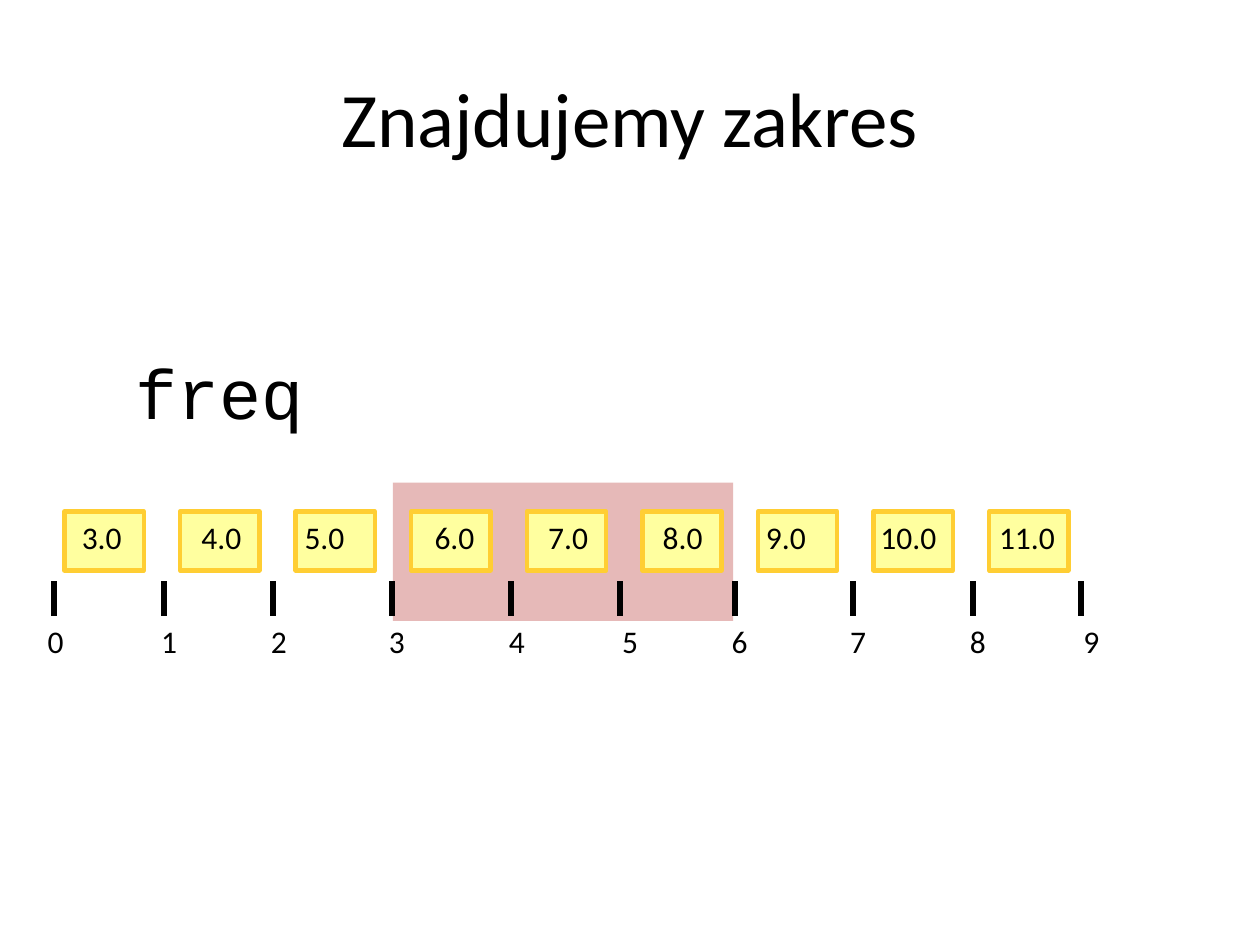
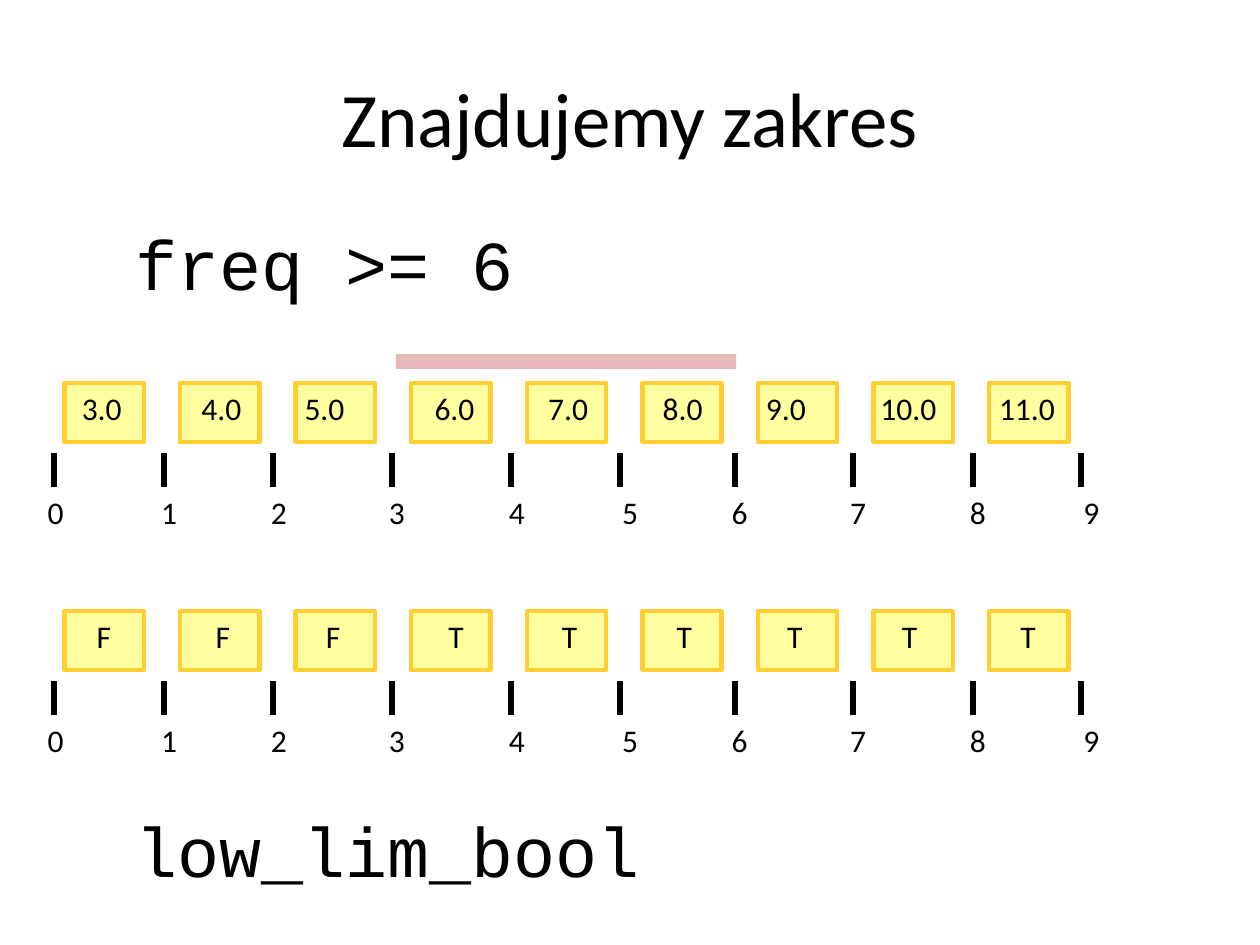
from dataclasses import dataclass

from lxml.etree import SubElement
from pptx import Presentation
from pptx.dml.color import RGBColor
from pptx.enum.shapes import MSO_CONNECTOR, MSO_SHAPE
from pptx.enum.text import MSO_ANCHOR, MSO_AUTO_SIZE, PP_ALIGN
from pptx.oxml.ns import qn
from pptx.util import Cm, Pt


@dataclass(frozen=True)
class Theme:
    ink: RGBColor = RGBColor.from_string("000000")
    cell_fill: RGBColor = RGBColor.from_string("FFFF9F")
    cell_edge: RGBColor = RGBColor.from_string("FFCE33")
    range_fill: RGBColor = RGBColor.from_string("E6B9B8")
    body_font: str = "Calibri"
    code_font: str = "Courier New"
    title_size: int = 44
    code_size: int = 40
    label_size: int = 18
    edge_width: float = 2.5
    tick_width: float = 3.5


theme = Theme()


def write(slide, text, left, top, width=1.8, height=1.02, size=theme.label_size,
          font=theme.body_font, align=PP_ALIGN.LEFT, anchor=MSO_ANCHOR.TOP,
          fit=MSO_AUTO_SIZE.SHAPE_TO_FIT_TEXT):
    frame = slide.shapes.add_textbox(Cm(left), Cm(top), Cm(width), Cm(height)).text_frame
    frame.word_wrap = True
    frame.auto_size = fit
    frame.vertical_anchor = anchor
    paragraph = frame.paragraphs[0]
    paragraph.alignment = align
    run = paragraph.add_run()
    run.text = text
    run.font.size = Pt(size)
    run.font.name = font
    run.font.color.rgb = theme.ink


def draw_block(slide, left, top, width, height, fill, edge=None):
    block = slide.shapes.add_shape(
        MSO_SHAPE.RECTANGLE, Cm(left), Cm(top), Cm(width), Cm(height))
    block.shadow.inherit = False
    block.fill.solid()
    block.fill.fore_color.rgb = fill
    if edge is None:
        block.line.fill.background()
    else:
        block.line.color.rgb = edge
        block.line.width = Pt(theme.edge_width)


first_cell, cell_step, cell_width, cell_height = 1.3, 2.33, 1.6, 1.19
tick_drop, tick_length, index_drop = 1.41, 0.69, 2.1
tick_lefts = [1.09, 3.3, 5.51, 7.9, 10.31, 12.5, 14.81, 17.2, 19.61, 21.79]
index_lefts = [0.71, 3, 5.21, 7.59, 10.01, 12.29, 14.5, 16.89, 19.3, 21.59]
frequency_lefts = [1.4, 3.81, 5.89, 8.51, 10.8, 13.11, 15.19, 17.5, 19.89]
flag_lefts = [1.7, 4.1, 6.32, 8.79, 11.08, 13.39, 15.62, 17.93, 20.32]
frequencies = [f"{number}.0" for number in range(3, 12)]
flags = "FFFTTTTTT"

pages = [
    {
        "range": (7.92, 9.73, 6.86, 2.79),
        "arrays": [("freq", 6.93, 10.31, frequencies, frequency_lefts)],
    },
    {
        "range": (7.98, 7.14, 6.86, 0.3),
        "arrays": [
            ("freq >= 6", 4.32, 7.72, frequencies, frequency_lefts),
            ("low_lim_bool", 16.15, 12.32, flags, flag_lefts),
        ],
    },
]

presentation = Presentation()
presentation.slide_width = Cm(25.4)
presentation.slide_height = Cm(19.05)

for page in pages:
    slide = presentation.slides.add_slide(presentation.slide_layouts[6])
    write(slide, "Znajdujemy zakres", 1.27, 0.76, 22.86, 3.18, size=theme.title_size,
          align=PP_ALIGN.CENTER, anchor=MSO_ANCHOR.MIDDLE, fit=MSO_AUTO_SIZE.NONE)
    draw_block(slide, *page["range"], theme.range_fill)

    for expression, expression_top, row_top, values, value_lefts in page["arrays"]:
        write(slide, expression, 2.49, expression_top, 12.1, 1.96,
              size=theme.code_size, font=theme.code_font)

        for position, (value, value_left) in enumerate(zip(values, value_lefts)):
            draw_block(slide, first_cell + position * cell_step, row_top,
                       cell_width, cell_height, theme.cell_fill, theme.cell_edge)
            write(slide, value, value_left, row_top)

        tick_top = row_top + tick_drop
        for index, (tick_left, index_left) in enumerate(zip(tick_lefts, index_lefts)):
            tick = slide.shapes.add_connector(
                MSO_CONNECTOR.STRAIGHT, Cm(tick_left), Cm(tick_top),
                Cm(tick_left), Cm(tick_top + tick_length))
            tick.line.color.rgb = theme.ink
            tick.line.width = Pt(theme.tick_width)
            SubElement(tick.element.spPr, qn("a:effectLst"))
            write(slide, str(index), index_left, row_top + index_drop)

presentation.save("out.pptx")
